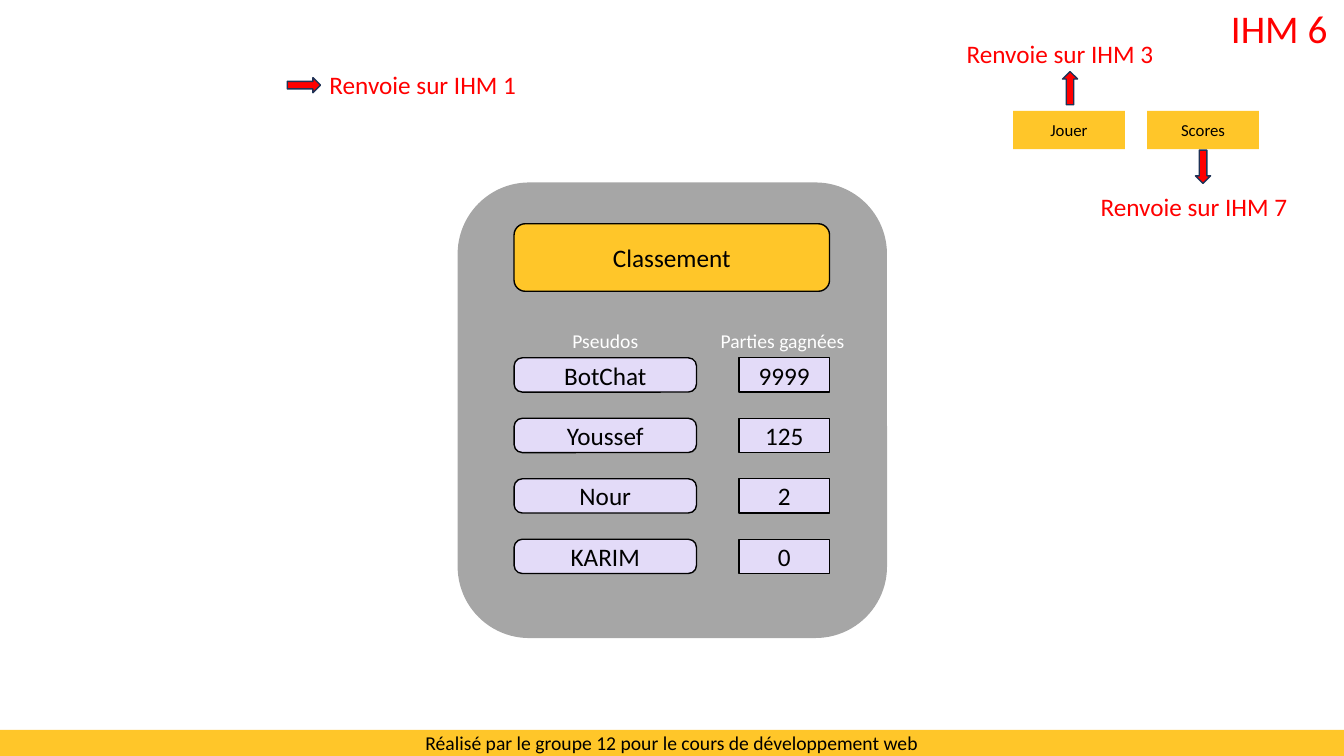
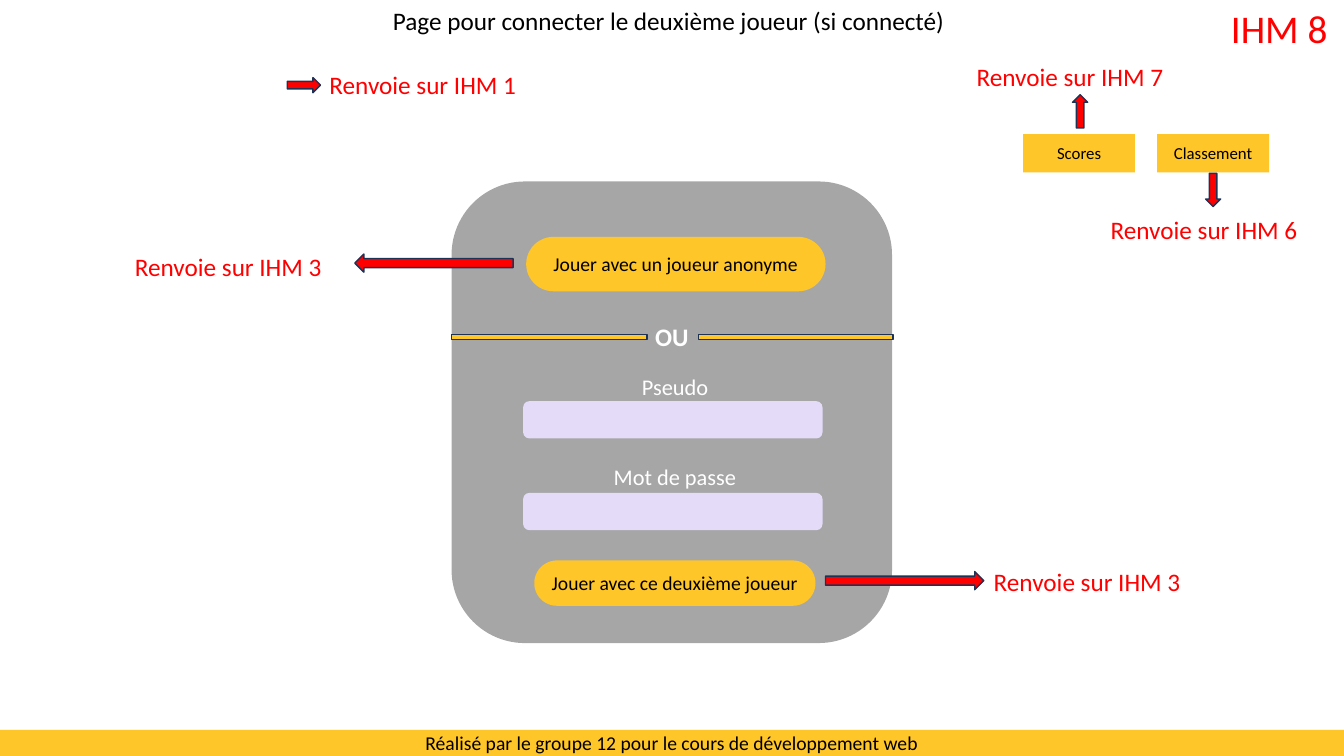
from dataclasses import dataclass
from typing import Optional

from pptx import Presentation
from pptx.dml.color import RGBColor
from pptx.enum.shapes import MSO_SHAPE
from pptx.enum.text import MSO_ANCHOR, PP_ALIGN
from pptx.oxml.ns import qn
from pptx.slide import Slide
from pptx.util import Emu, Inches, Pt
from lxml import etree

RECT = MSO_SHAPE.RECTANGLE
ROUND = MSO_SHAPE.ROUNDED_RECTANGLE
RIGHT, LEFT = MSO_SHAPE.RIGHT_ARROW, MSO_SHAPE.LEFT_ARROW
UP, DOWN = MSO_SHAPE.UP_ARROW, MSO_SHAPE.DOWN_ARROW
MIDDLE = MSO_ANCHOR.MIDDLE
CENTER, START = PP_ALIGN.CENTER, PP_ALIGN.LEFT

# Grid: one cell is a tenth of an inch
CELL = Inches(0.1)
COLS, ROWS = 133.33, 75


@dataclass(frozen=True)
class Theme:
    font: str = "Calibri"
    gold: str = "FFC629"
    lilac: str = "E3DBF8"
    red: str = "FF0000"
    navy: str = "1E3256"
    black: str = "000000"
    white: str = "FFFFFF"
    veil: int = 35
    tiny: int = 12
    small: int = 14
    mid: int = 16
    base: int = 18
    title: int = 28


T = Theme()


@dataclass(frozen=True)
class Look:
    """Shape kind (None for a text box), colours and type of an element."""
    kind: Optional[MSO_SHAPE] = RECT
    fill: Optional[str] = None
    line: Optional[str] = None
    size: int = T.base
    ink: str = T.black
    bold: bool = False
    align: PP_ALIGN = CENTER
    curve: Optional[float] = None
    alpha: int = 100


@dataclass(frozen=True)
class Part:
    """Place on the grid, look and text of an element."""
    col: float
    row: float
    wide: float
    high: float
    look: Look
    text: str = ""


# Shared looks
PANEL = Look(ROUND, T.black, alpha=T.veil)
BAND = Look(fill=T.gold, size=T.small)
TITLE = Look(fill=T.white, size=T.title, ink=T.red)
HEAD = Look(fill=T.white, align=START)
NOTE = Look(None, ink=T.red, align=START)
BUTTON = Look(fill=T.gold, size=T.tiny)
BANNER = Look(ROUND, T.gold, T.black)
NAME = Look(ROUND, T.lilac, T.black, curve=0.24)
SCORE = Look(fill=T.lilac, line=T.black)
COLUMN = Look(None, size=T.small, ink=T.white, align=START)
FIELD = Look(ROUND, T.lilac)
LABEL = Look(None, size=T.mid, ink=T.white, align=START)
PILL = Look(ROUND, T.gold, size=T.small, curve=0.5)
RULE = Look(fill=T.gold, line=T.navy)
OR = Look(None, ink=T.white, bold=True, align=START)


def cell(count: float) -> Emu:
    return Emu(round(count * CELL))


def tint(code: str) -> RGBColor:
    return RGBColor.from_string(code)


def draw(slide: Slide, part: Part) -> None:
    look = part.look
    place = [cell(n) for n in (part.col, part.row, part.wide, part.high)]
    if look.kind is None:
        shape = slide.shapes.add_textbox(*place)
    else:
        shape = slide.shapes.add_shape(look.kind, *place)
        shape.shadow.inherit = False
        shape.fill.solid()
        shape.fill.fore_color.rgb = tint(look.fill)
        if look.alpha < 100:
            color = shape.fill._xPr.find(qn("a:solidFill"))[0]
            etree.SubElement(color, qn("a:alpha"), val=str(look.alpha * 1000))
        if look.line:
            shape.line.color.rgb = tint(look.line)
            shape.line.width = Pt(1)
        else:
            shape.line.fill.background()
        if look.curve is not None:
            shape.adjustments[0] = look.curve
    if part.text:
        write(shape.text_frame, part.text, look)


def write(frame, text: str, look: Look) -> None:
    frame.word_wrap = True
    frame.vertical_anchor = MIDDLE
    frame.margin_left = cell(1 if look.align == START else 0)
    frame.margin_right = frame.margin_top = frame.margin_bottom = 0
    para = frame.paragraphs[0]
    para.alignment = look.align
    run = para.add_run()
    run.text = text
    font = run.font
    font.name, font.size, font.bold = T.font, Pt(look.size), look.bold
    font.color.rgb = tint(look.ink)


def arrow(kind: MSO_SHAPE, col: float, row: float,
          wide: float, high: float) -> Part:
    return Part(col, row, wide, high, Look(kind, T.red, T.navy))


def note(col: float, row: float, page: int) -> Part:
    return Part(col, row, 22.2, 4, NOTE, f"Renvoie sur IHM {page}")


def frame(page: int) -> list[Part]:
    """Footer band, page title and home link."""
    return [
        Part(0, 72.4, COLS, 2.6, BAND,
             "Réalisé par le groupe 12 pour le cours de développement web"),
        Part(120.5, -0.1, 12.8, 5.7, TITLE, f"IHM {page}"),
        note(31.7, 6.4, 1),
        arrow(RIGHT, 28.5, 7.7, 3.3, 1.5),
    ]


def menu(col: float, row: float, first: tuple[str, int],
         last: tuple[str, int]) -> list[Part]:
    """Two buttons: the first links upwards, the last downwards."""
    return [
        Part(col, row, 11.1, 3.8, BUTTON, first[0]),
        Part(col + 13.3, row, 11.1, 3.8, BUTTON, last[0]),
        arrow(UP, col + 4.9, row - 3.9, 1.5, 3.3),
        arrow(DOWN, col + 18.1, row + 3.9, 1.5, 3.3),
        note(col - 5.6, row - 7.7, first[1]),
        note(col + 7.7, row + 7.5, last[1]),
    ]


def ranks() -> list[Part]:
    parts = [
        Part(45.4, 18.1, 42.6, 45.2, PANEL),
        Part(51, 22.2, 31.3, 6.7, BANNER, "Classement"),
        Part(55.8, 32.1, 10.4, 3.4, COLUMN, "Pseudos"),
        Part(70.5, 32.1, 14.7, 3.4, COLUMN, "Parties gagnées"),
    ]
    wins = [("BotChat", 9999), ("Youssef", 125), ("Nour", 2), ("KARIM", 0)]
    for i, (name, won) in enumerate(wins):
        row = 35.5 + 6 * i
        parts += [Part(51, row, 18.1, 3.4, NAME, name),
                  Part(73.3, row, 9, 3.4, SCORE, str(won))]
    return parts


def login() -> list[Part]:
    return [
        Part(44.8, 18, 43.7, 45.8, PANEL),
        Part(38, 0, 58.1, 4, HEAD,
             "Page pour connecter le deuxième joueur (si connecté)"),
        # Anonymous player
        Part(52.2, 23.5, 29.7, 5.4, PILL, "Jouer avec un joueur anonyme"),
        arrow(LEFT, 35.2, 25.2, 15.7, 1.8),
        note(12.4, 24.4, 3),
        # Divider
        Part(44.8, 33.2, 19.4, 0.5, RULE),
        Part(69.3, 33.2, 19.3, 0.5, RULE),
        Part(64, 31.4, 5.5, 4, OR, "OU"),
        # Second player
        Part(62.7, 36.5, 8.7, 3.7, LABEL, "Pseudo"),
        Part(51.9, 39.8, 29.7, 3.7, FIELD),
        Part(59.9, 45.4, 14.3, 3.7, LABEL, "Mot de passe"),
        Part(51.9, 48.9, 29.7, 3.7, FIELD),
        Part(53, 55.6, 27.9, 4.5, PILL, "Jouer avec ce deuxième joueur"),
        arrow(RIGHT, 81.9, 56.7, 15.7, 1.8),
        note(97.6, 55.7, 3),
    ]


def main() -> None:
    deck = Presentation()
    deck.slide_width, deck.slide_height = cell(COLS), cell(ROWS)
    pages = [
        ranks() + frame(6) + menu(100.5, 11, ("Jouer", 3), ("Scores", 7)),
        login() + frame(8)
        + menu(101.5, 13.3, ("Scores", 7), ("Classement", 6)),
    ]
    for parts in pages:
        slide = deck.slides.add_slide(deck.slide_layouts[6])
        for part in parts:
            draw(slide, part)
    deck.save("out.pptx")


if __name__ == "__main__":
    main()
